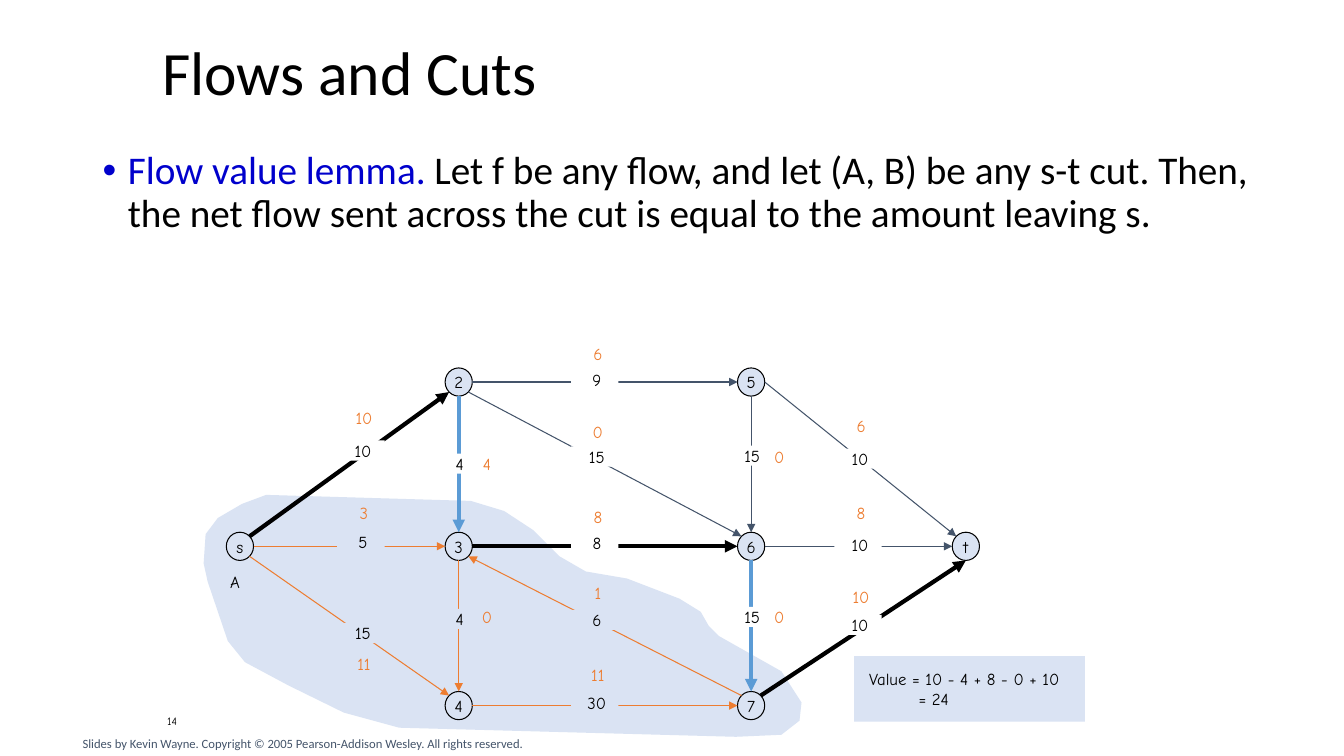
from lxml.etree import SubElement
from pptx import Presentation
from pptx.dml.color import RGBColor
from pptx.enum.shapes import MSO_CONNECTOR, MSO_SHAPE
from pptx.enum.text import MSO_ANCHOR, PP_ALIGN
from pptx.oxml.ns import qn
from pptx.util import Inches, Pt

# Content
TITLE = "Flows and Cuts"
LEMMA = [
    ("Flow value lemma. ", "lemma"),
    ("Let f be any flow, and let (A, B) be any s-t cut. Then, the net flow sent "
     "across the cut is equal to the amount leaving s.", "ink"),
]
VALUE = "Value = 10 - 4 + 8 - 0 + 10\v= 24"
PAGE_NUMBER = "14"
CREDIT = "Slides by Kevin Wayne. Copyright © 2005 Pearson-Addison Wesley. All rights reserved."

COLUMNS = (2.38, 4.55, 7.45, 9.58)
ROWS = (3.79, 5.42, 7.0)
LABEL_COLUMNS = (3.58, 5.9, 8.51)
NODES = {  # name: (column, row)
    "s": (0, 1), "2": (1, 0), "3": (1, 1), "4": (1, 2),
    "5": (2, 0), "6": (2, 1), "7": (2, 2), "t": (3, 1),
}
EDGES = [  # from, side, to, side, style, capacity and its top, flow and its top
    ("s", "NE", "2", "SW", "full", "10", 4.37, "10", 4.05),
    ("s", "E", "3", "W", "inside", "5", 5.28, "3", 4.99),
    ("s", "SE", "4", "NW", "inside", "15", 6.18, "11", 6.49),
    ("3", "E", "6", "W", "full", "8", 5.29, "8", 5.03),
    ("7", "NW", "3", "SE", "inside", "6", 6.05, "1", 5.78),
    ("3", "S", "4", "N", "inside", "4", 6.04, "0", 6.02),
    ("2", "E", "5", "W", "outside", "9", 3.67, "6", 3.41),
    ("4", "E", "7", "W", "inside", "30", 6.87, "11", 6.59),
    ("2", "S", "3", "N", "across", "4", 4.5, "4", 4.5),
    ("6", "S", "7", "N", "across", "15", 6.02, "0", 6.02),
    ("5", "S", "6", "N", "outside", "15", 4.42, "0", 4.43),
    ("2", "SE", "6", "NW", "outside", "15", 4.43, "0", 4.18),
    ("5", "E", "t", "NW", "outside", "10", 4.45, "6", 4.12),
    ("6", "E", "t", "W", "outside", "10", 5.31, "8", 4.99),
    ("7", "NE", "t", "S", "full", "10", 6.1, "10", 5.82),
]
CUT_OUTLINE = [
    (7.03, 6.21), (7.13, 6.31), (7.75, 6.66), (7.95, 6.97), (7.93, 7.15), (7.75, 7.29),
    (7.3, 7.31), (3.96, 7.22), (3.41, 7.07), (2.86, 6.8), (2.43, 6.57), (2.26, 6.36),
    (2.06, 5.77), (2.02, 5.59), (2.04, 5.3), (2.16, 5.14), (2.4, 5.0), (2.64, 4.91),
    (4.67, 4.97), (5.0, 5.07), (5.29, 5.26), (5.55, 5.52), (5.81, 5.67), (6.22, 5.74),
    (6.74, 5.94), (6.95, 6.07),
]

THEME = {
    "colors": {"ink": "000000", "paper": "FFFFFF", "cut": "DAE3F3", "lemma": "0000CC",
               "flow": "ED7D31", "across": "5B9BD5", "slate": "44546A"},
    "fonts": {"text": "Calibri", "graph": "Comic Neue"},
    "sizes": {"title": 44, "body": 28, "graph": 12, "credit": 9, "number": 8},
    "edges": {"full": ("ink", 3), "across": ("across", 3),
              "inside": ("flow", 0.75), "outside": ("slate", 0.75)},
}
NODE_WIDTH, NODE_HEIGHT = 0.27, 0.28
CAPACITY_WIDTH, FLOW_WIDTH, LABEL_HEIGHT = 0.47, 0.37, 0.2
DIAGONAL = 0.71
PLAIN = (0.1, 0.05, 0.1, 0.05)
TIGHT = (0, 0, 0, 0)


def apply(target, values):
    for name, value in values.items():
        setattr(target, name, value)


def color(name):
    return RGBColor.from_string(THEME["colors"][name])


def paint(shape, fill, line=None):
    shape.shadow.inherit = False
    shape.fill.solid()
    shape.fill.fore_color.rgb = color(fill)
    if line:
        shape.line.color.rgb = color(line)
        shape.line.width = Pt(0.75)
    else:
        shape.line.fill.background()


def write(shape, spans, size, font="graph", align=PP_ALIGN.LEFT, insets=PLAIN,
          anchor=MSO_ANCHOR.TOP, wrap=True, spacing=1.0, indent=0, bullet=None):
    frame = shape.text_frame
    left, top, right, bottom = map(Inches, insets)
    apply(frame, {"margin_left": left, "margin_top": top, "margin_right": right,
                  "margin_bottom": bottom, "vertical_anchor": anchor, "word_wrap": wrap})
    para = frame.paragraphs[0]
    apply(para, {"alignment": align, "line_spacing": spacing})
    if indent:
        properties = para._p.get_or_add_pPr()
        properties.set("marL", str(Inches(indent)))
        properties.set("indent", str(-Inches(indent)))
        if bullet:
            SubElement(properties, qn("a:buFont"), typeface="Arial")
            SubElement(properties, qn("a:buChar"), char=bullet)
    for words, ink in spans:
        for number, piece in enumerate(words.split("\v")):
            if number:
                para.add_line_break()
            span = para.add_run()
            span.text = piece
            apply(span.font, {"name": THEME["fonts"][font], "size": Pt(THEME["sizes"][size])})
            span.font.color.rgb = color(ink)


def text_box(page, place, spans, size, **layout):
    write(page.shapes.add_textbox(*map(Inches, place)), spans, size, **layout)


def filled_shape(page, kind, place, fill, line=None):
    shape = page.shapes.add_shape(kind, *map(Inches, place))
    paint(shape, fill, line)
    return shape


def node_point(name, side):
    column, row = NODES[name]
    reach = DIAGONAL if len(side) == 2 else 1
    across = reach * (("E" in side) - ("W" in side))
    down = reach * (("S" in side) - ("N" in side))
    return (Inches(COLUMNS[column] + across * NODE_WIDTH / 2),
            Inches(ROWS[row] + down * NODE_HEIGHT / 2))


def label_centers(start, end):
    """Horizontal centres of an edge's capacity and flow."""
    first, last = sorted((NODES[start][0], NODES[end][0]))
    if first == last:
        return COLUMNS[first] - 0.01, COLUMNS[first] + 0.28
    return LABEL_COLUMNS[first], LABEL_COLUMNS[first] + 0.03


def draw_edge(page, start, end, style):
    arrow = page.shapes.add_connector(MSO_CONNECTOR.STRAIGHT, *start, *end)
    ink, width = THEME["edges"][style]
    arrow.line.color.rgb = color(ink)
    arrow.line.width = Pt(width)
    properties = arrow.element.spPr
    SubElement(properties.find(qn("a:ln")), qn("a:tailEnd"), type="triangle")
    SubElement(properties, qn("a:effectLst"))


def main():
    deck = Presentation()
    apply(deck, {"slide_width": Inches(13.33), "slide_height": Inches(7.5)})
    page = deck.slides.add_slide(deck.slide_layouts[6])
    middle, center = MSO_ANCHOR.MIDDLE, PP_ALIGN.CENTER

    # Cut region
    corners = [(Inches(x), Inches(y)) for x, y in CUT_OUTLINE]
    builder = page.shapes.build_freeform(*corners[0])
    builder.add_line_segments(corners[1:], close=True)
    paint(builder.convert_to_shape(), "cut")

    # Title and lemma
    text_box(page, (1.51, 0.29, 11.5, 0.91), [(TITLE, "ink")], "title", font="text",
             anchor=middle, spacing=0.9)
    text_box(page, (0.92, 1.45, 12.09, 1.14), LEMMA, "body", font="text",
             spacing=0.9, indent=0.25, bullet="•")

    # Nodes
    for name, (column, row) in NODES.items():
        place = (COLUMNS[column] - NODE_WIDTH / 2, ROWS[row] - NODE_HEIGHT / 2,
                 NODE_WIDTH, NODE_HEIGHT)
        node = filled_shape(page, MSO_SHAPE.OVAL, place, "cut", "ink")
        write(node, [(name, "ink")], "graph", align=center, anchor=middle, wrap=False)

    # Edges, then their capacities and flows on top
    for start, leave, end, arrive, style, *labels in EDGES:
        draw_edge(page, node_point(start, leave), node_point(end, arrive), style)
    for start, leave, end, arrive, style, capacity, capacity_top, flow, flow_top in EDGES:
        capacity_x, flow_x = label_centers(start, end)
        place = (capacity_x - CAPACITY_WIDTH / 2, capacity_top, CAPACITY_WIDTH, LABEL_HEIGHT)
        label = filled_shape(page, MSO_SHAPE.RECTANGLE, place,
                             "cut" if style == "inside" else "paper")
        write(label, [(capacity, "ink")], "graph", align=center, insets=(0.04, 0, 0, 0))
        text_box(page, (flow_x - FLOW_WIDTH / 2, flow_top, FLOW_WIDTH, LABEL_HEIGHT),
                 [(flow, "flow")], "graph", align=center, insets=TIGHT)

    # Cut name, flow value and footer
    text_box(page, (2.27, 5.67, 0.12, 0.2), [("A", "ink")], "graph", align=center,
             insets=TIGHT, wrap=False)
    value = filled_shape(page, MSO_SHAPE.RECTANGLE, (8.47, 6.51, 2.29, 0.65), "cut")
    write(value, [(VALUE, "ink")], "graph", insets=(0.15, 0.1, 0.1, 0.1),
          anchor=middle, indent=0.49)
    text_box(page, (1.56, 6.95, 2.36, 0.4), [(PAGE_NUMBER, "ink")], "number", anchor=middle)
    text_box(page, (0.72, 7.25, 5.62, 0.25), [(CREDIT, "slate")], "credit", font="text")

    deck.save("out.pptx")


if __name__ == "__main__":
    main()
